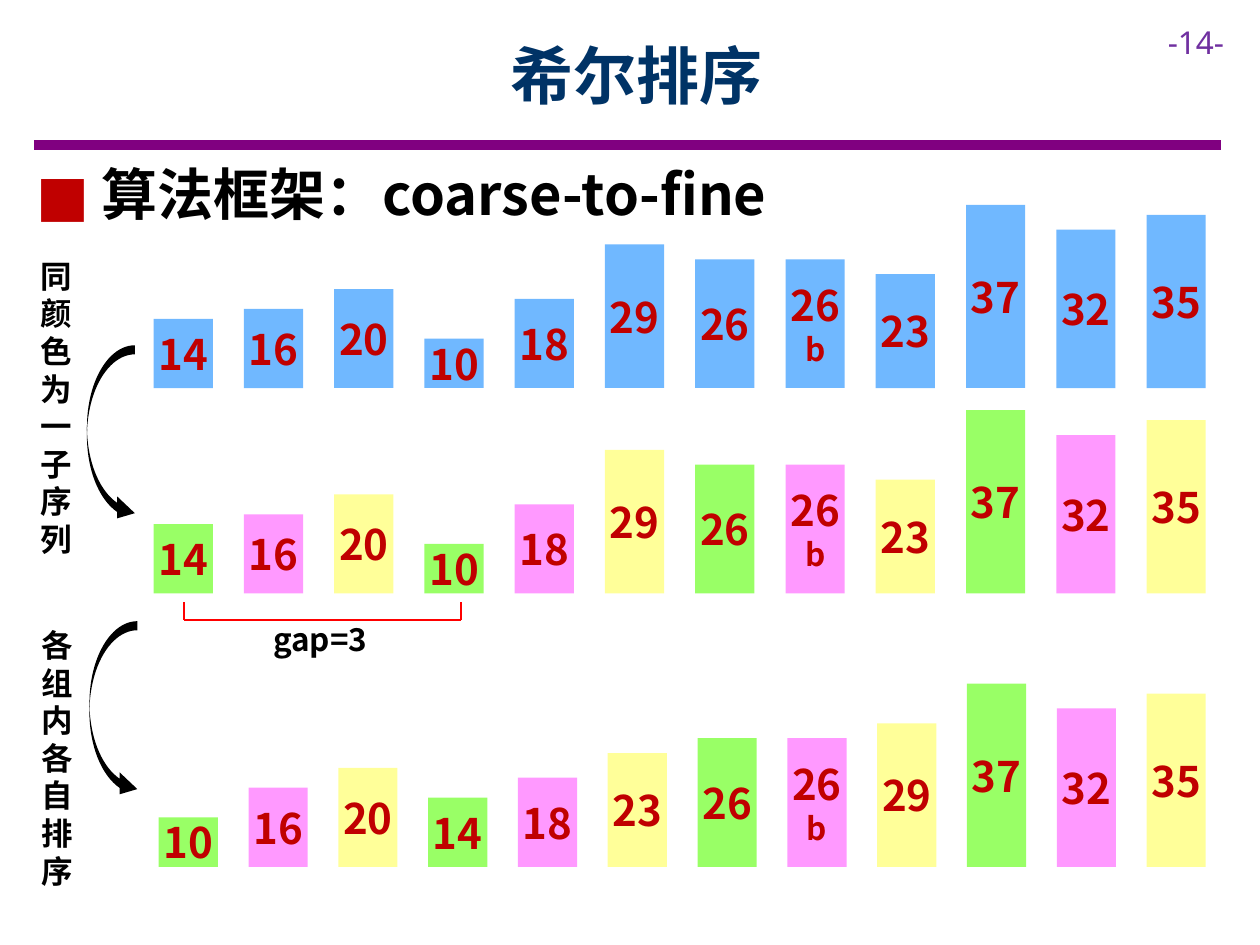
from lxml import etree
from pptx import Presentation
from pptx.dml.color import RGBColor
from pptx.enum.shapes import MSO_CONNECTOR as Connector, MSO_SHAPE as Shape
from pptx.enum.text import MSO_ANCHOR as Anchor, MSO_AUTO_SIZE as AutoSize, PP_ALIGN as Align
from pptx.oxml.ns import qn
from pptx.util import Inches, Pt

CJK, LATIN = "Noto Sans CJK SC", "Noto Sans"
BLACK, DARK_RED, BLUE = "000000", "C00000", "70B8FF"
GROUP_COLORS = ["99FF66", "FF99FF", "FFFF99"]
GAP = 3
UNIT = 0.55 / 14  # bar height for each unit of value


def color(value):
    """Turn a hex string into a colour."""
    return RGBColor.from_string(value)


def assign(target, **values):
    """Set every named attribute on the target."""
    for name, value in values.items():
        setattr(target, name, value)


class SlideArtist:
    """Holds the text style and the current slide."""

    def __init__(self, slide, font=CJK):
        self.slide = slide
        self.font = font

    def add_words(self, paragraph, text, size, ink=BLACK, bold=True, font=None, **layout):
        """Put one styled run into a paragraph."""
        assign(paragraph, **layout)
        run = paragraph.add_run()
        run.text = text
        face = font or self.font
        assign(run.font, name=face, size=Pt(size), bold=bold)
        run.font.color.rgb = color(ink)
        etree.SubElement(run.font._element, qn("a:ea"), typeface=face)

    def text(self, box, content, size, wrap=True, anchor=Anchor.TOP,
             fit=AutoSize.SHAPE_TO_FIT_TEXT, **style):
        """Add a text box and return its paragraph."""
        frame = self.slide.shapes.add_textbox(*map(Inches, box)).text_frame
        assign(frame, word_wrap=wrap, vertical_anchor=anchor, auto_size=fit)
        paragraph = frame.paragraphs[0]
        self.add_words(paragraph, content, size, **style)
        return paragraph

    def bullet(self, box, content, size, mark, ink, indent):
        """Add a text box with one bulleted line."""
        paragraph = self.text(box, content, size, space_after=Pt(6))
        props = paragraph._p.get_or_add_pPr()
        props.set("marL", str(Inches(indent)))
        props.set("indent", str(-Inches(indent)))
        bullet_color = etree.SubElement(props, qn("a:buClr"))
        etree.SubElement(bullet_color, qn("a:srgbClr"), val=ink)
        etree.SubElement(props, qn("a:buFont"), typeface=LATIN)
        etree.SubElement(props, qn("a:buChar"), char=mark)

    def shape(self, kind, box, fill):
        """Add a filled shape with no outline."""
        item = self.slide.shapes.add_shape(kind, *map(Inches, box))
        item.shadow.inherit = False
        item.fill.solid()
        item.fill.fore_color.rgb = color(fill)
        item.line.fill.background()
        return item

    def line(self, start, end, ink, width):
        """Add a straight line."""
        item = self.slide.shapes.add_connector(
            Connector.STRAIGHT, *map(Inches, (*start, *end)))
        item.line.color.rgb = color(ink)
        item.line.width = Pt(width)
        etree.SubElement(item._element.spPr, qn("a:effectLst"))

    def step(self, arrow_left, arrow_top, label_box, label):
        """Add a curved arrow with its label, one character a line."""
        arrow = self.shape(Shape.CURVED_RIGHT_ARROW,
                           (arrow_left, arrow_top, 0.38, 1.42), BLACK)
        for index, ratio in enumerate((0.19, 0.46, 0.37)):
            arrow.adjustments[index] = ratio
        self.text(label_box, label, 18, line_spacing=Pt(21.5), space_after=Pt(6))

    def bars(self, items, left, base, fills):
        """Add a row of bars as tall as their values, up to a shared last bar."""
        pitch = (9.1 - left) / (len(items) - 1)
        for index, (value, suffix) in enumerate(items):
            height = value * UNIT
            box = (left + index * pitch, base - height, 0.47, height)
            frame = self.shape(Shape.RECTANGLE, box, fills[index % len(fills)]).text_frame
            assign(frame, word_wrap=True, vertical_anchor=Anchor.MIDDLE,
                   margin_left=0, margin_right=0,
                   margin_top=Inches(0.1), margin_bottom=Inches(0.1))
            self.add_words(frame.paragraphs[0], str(value), 24, DARK_RED,
                           alignment=Align.CENTER)
            if suffix:
                self.add_words(frame.add_paragraph(), suffix, 18, DARK_RED,
                               alignment=Align.CENTER)


def sort_groups(items, gap):
    """Sort each group of items that lie one gap apart."""
    result = list(items)
    for start in range(gap):
        result[start::gap] = sorted(result[start::gap])
    return result


deck = Presentation()
assign(deck, slide_width=Inches(10), slide_height=Inches(7.5))
artist = SlideArtist(deck.slides.add_slide(deck.slide_layouts[6]))

artist.line((0.27, 1.15), (9.69, 1.15), "800080", 6)
artist.text((9.17, 0.13, 0.83, 0.4), "-14-", 18, ink="7030A0", bold=False, font=LATIN)
artist.text((0.9, 0.09, 8.31, 1), "希尔排序", 36, ink="003366", anchor=Anchor.MIDDLE,
            fit=AutoSize.NONE, alignment=Align.CENTER)
artist.bullet((0.19, 1.22, 9.54, 0.64), " 算法框架：coarse-to-fine", 32, "■", DARK_RED, 0.38)

artist.step(0.69, 2.74, (0.22, 1.99, 0.52, 2.52), "同颜色为一子序列")
artist.step(0.71, 4.93, (0.23, 4.92, 0.52, 2.22), "各组内各自排序")

numbers = [(14, ""), (16, ""), (20, ""), (10, ""), (18, ""), (29, ""),
           (26, ""), (26, "b"), (23, ""), (37, ""), (32, ""), (35, "")]
artist.bars(numbers, 1.22, 3.08, [BLUE])
artist.bars(numbers, 1.22, 4.71, GROUP_COLORS)
artist.bars(sort_groups(numbers, GAP), 1.26, 6.88, GROUP_COLORS)

first, last, low, high = 1.46, 3.66, 4.92, 4.78
artist.line((last, low), (first, low), "FF0000", 1.5)
for end in (first, last):
    artist.line((end, low), (end, high), "FF0000", 1.5)
artist.text((2.07, 4.87, 1.03, 0.4), f"gap={GAP}", 18, wrap=False)

deck.save("out.pptx")
